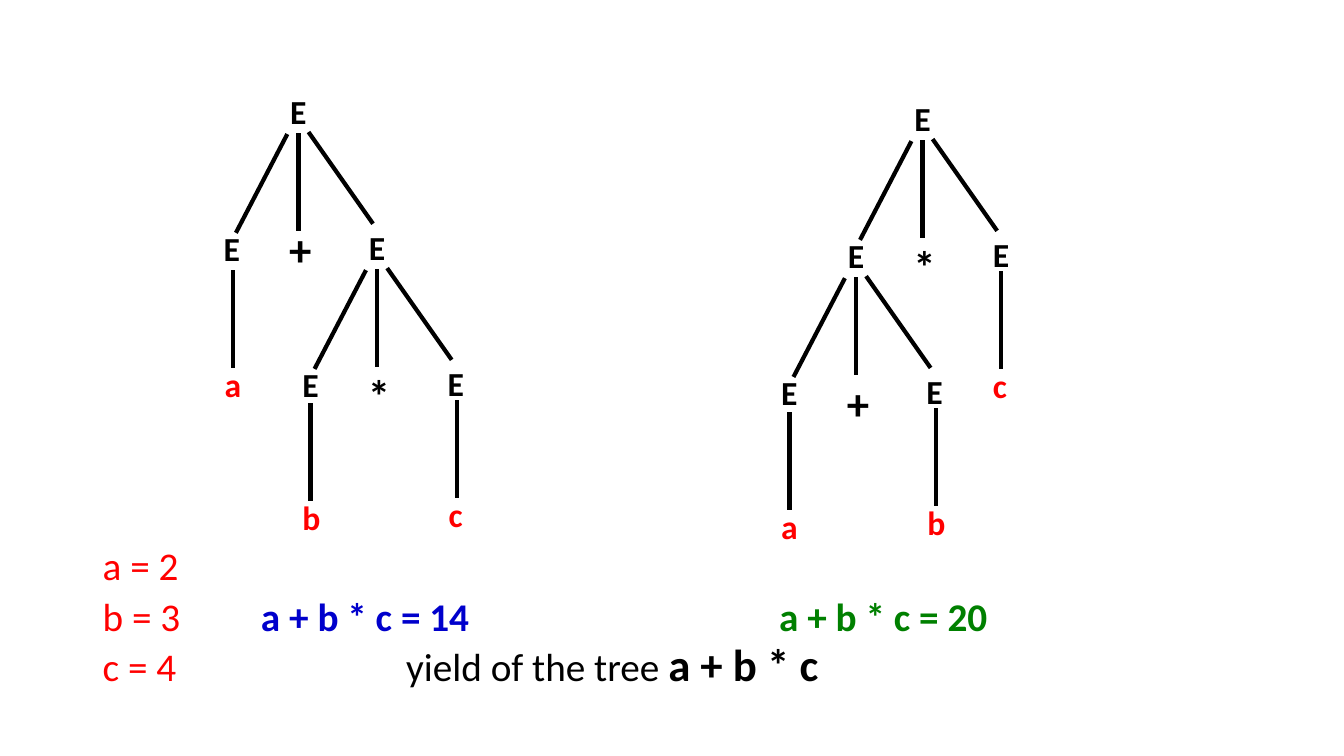
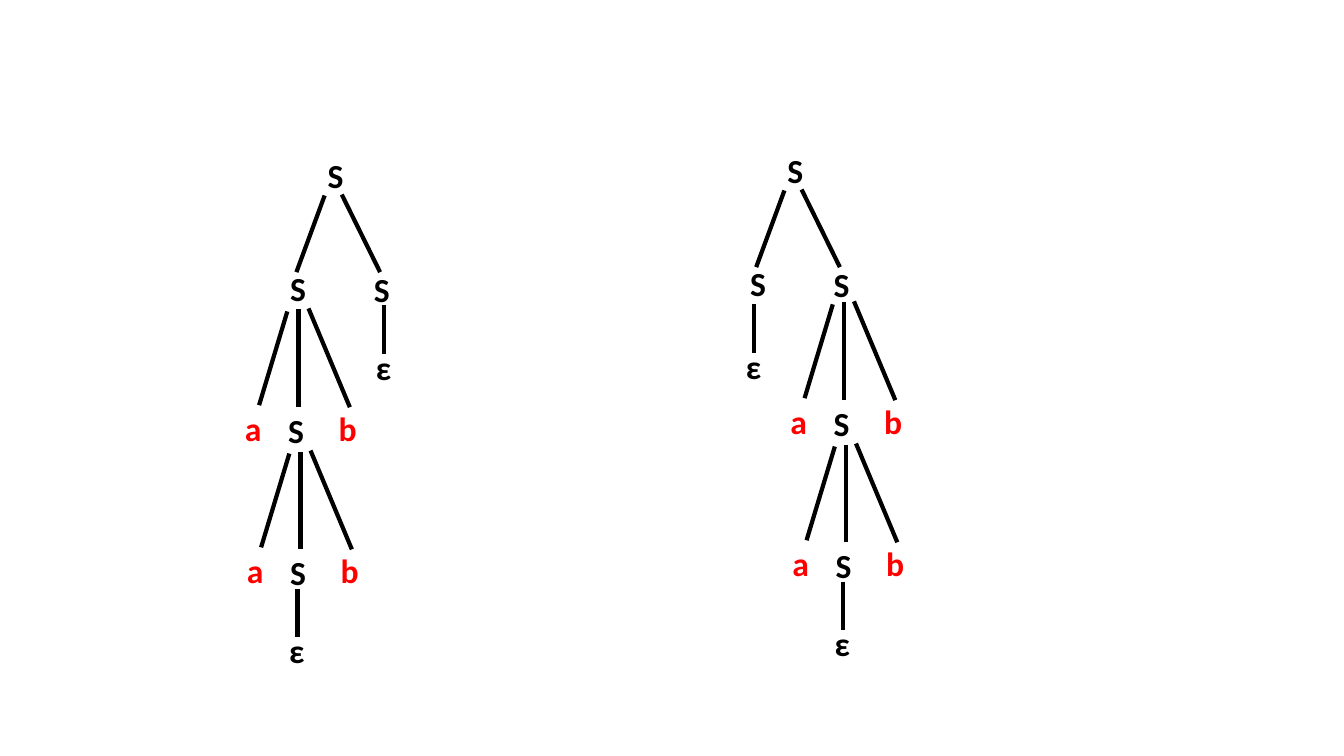
from dataclasses import dataclass
from typing import NamedTuple

from lxml import etree
from pptx import Presentation
from pptx.dml.color import RGBColor
from pptx.enum import shapes, text
from pptx.oxml import ns
from pptx.util import Inches, Pt

FONT = "Calibri"
BLACK = RGBColor(0x00, 0x00, 0x00)
RED = RGBColor(0xFF, 0x00, 0x00)
BLUE = RGBColor(0x00, 0x00, 0xCC)
GREEN = RGBColor(0x00, 0x80, 0x00)

TERMINALS = "abc"
OPERATORS = "+*"


class Point(NamedTuple):
    x: float
    y: float

    def plus(self, other: "Point") -> "Point":
        return Point(self.x + other.x, self.y + other.y)


class Branch(NamedTuple):
    """One edge and the box of its child, all measured from the parent's box."""
    start: Point
    end: Point
    child: Point


class Span(NamedTuple):
    words: str
    color: RGBColor = BLACK
    size: int = 28
    bold: bool = False


class ValueLine(NamedTuple):
    spans: list[Span]
    tabs: list[float]


@dataclass
class Node:
    label: str
    children: tuple["Node", ...] = ()
    shift: Point = Point(0, 0)  # moves all branches below the node
    lift: float = 0  # raises the label


# Branch layouts of each grammar, by number of children
EXPRESSION = {
    1: [Branch(Point(0.18, 0.44), Point(0.18, 1.41), Point(0, 1.32))],
    3: [Branch(Point(0.07, 0.48), Point(-0.44, 1.46), Point(-0.66, 1.36)),
        Branch(Point(0.18, 0.47), Point(0.18, 1.44), Point(-0.01, 1.4)),
        Branch(Point(0.28, 0.46), Point(0.92, 1.37), Point(0.78, 1.35))],
}
SEQUENCE = {
    1: [Branch(Point(0.17, 0.41), Point(0.17, 0.89), Point(-0.01, 0.77))],
    2: [Branch(Point(0.07, 0.45), Point(-0.21, 1.21), Point(-0.37, 1.12)),
        Branch(Point(0.24, 0.44), Point(0.62, 1.21), Point(0.46, 1.13))],
    3: [Branch(Point(0.09, 0.48), Point(-0.19, 1.41), Point(-0.43, 1.39)),
        Branch(Point(0.2, 0.46), Point(0.2, 1.43), Point(0, 1.41)),
        Branch(Point(0.3, 0.45), Point(0.71, 1.43), Point(0.5, 1.39))],
}


def format_span(para, words: str, *, size: int, color: RGBColor, bold: bool) -> None:
    span = para.add_run()
    span.text = words
    span.font.name = FONT
    span.font.size = Pt(size)
    span.font.bold = bold
    span.font.color.rgb = color


def add_box(page, at: Point, width: float, height: float):
    box = page.shapes.add_textbox(Inches(at.x), Inches(at.y), Inches(width), Inches(height))
    box.text_frame.word_wrap = True
    box.text_frame.auto_size = text.MSO_AUTO_SIZE.NONE
    return box


def add_label(page, label: str, at: Point) -> None:
    is_operator = label in OPERATORS
    box = add_box(page, at, 0.51, 0.64 if is_operator else 0.5)
    format_span(box.text_frame.paragraphs[0], label, size=32 if is_operator else 24,
                color=RED if label in TERMINALS else BLACK, bold=True)


def add_edge(page, start: Point, end: Point) -> None:
    edge = page.shapes.add_connector(
        shapes.MSO_CONNECTOR.STRAIGHT,
        Inches(start.x), Inches(start.y), Inches(end.x), Inches(end.y))
    edge.line.color.rgb = BLACK
    edge.line.width = Pt(3)
    etree.SubElement(edge._element.spPr, ns.qn("a:effectLst"))


def draw_tree(page, node: Node, at: Point, layout: dict[int, list[Branch]]) -> None:
    add_label(page, node.label, Point(at.x, at.y - node.lift))
    if not node.children:
        return
    origin = at.plus(node.shift)
    for branch, child in zip(layout[len(node.children)], node.children):
        add_edge(page, origin.plus(branch.start), origin.plus(branch.end))
        draw_tree(page, child, origin.plus(branch.child), layout)


def add_tabs(para, stops: list[float]) -> None:
    tab_list = etree.SubElement(para._p.get_or_add_pPr(), ns.qn("a:tabLst"))
    for stop in stops:
        etree.SubElement(tab_list, ns.qn("a:tab"), pos=str(Inches(stop)), algn="l")


def add_values(page, lines: list[ValueLine]) -> None:
    frame = add_box(page, Point(0.92, 5.28), 11.5, 1.65).text_frame
    for index, line in enumerate(lines):
        para = frame.add_paragraph() if index else frame.paragraphs[0]
        para.line_spacing = Pt(36.5)
        if line.tabs:
            add_tabs(para, line.tabs)
        for span in line.spans:
            format_span(para, span.words, size=span.size, color=span.color, bold=span.bold)


def operand(name: str, dx: float = 0, dy: float = 0) -> Node:
    return Node("E", (Node(name),), Point(dx, dy))


def nested(inner: Node, shift: Point = Point(0, 0)) -> Node:
    """Node for the rule S → a S b."""
    return Node("S", (Node("a"), inner, Node("b")), shift)


def empty(dx: float = 0, dy: float = 0) -> Node:
    return Node("S", (Node("ε"),), Point(dx, dy))


def build_expression_page(page) -> None:
    product = Node("E", (operand("b"), Node("*"), operand("c", 0.01, -0.02)))
    total = Node("E", (operand("a", 0, 0.01), Node("+"), operand("b", 0.01, -0.02)))
    product_first = Node("E", (operand("a", 0.01, 0.03), Node("+", lift=0.1), product))
    sum_first = Node("E", (total, Node("*"), operand("c", 0, -0.02)))
    draw_tree(page, product_first, Point(2.78, 0.85), EXPRESSION)
    draw_tree(page, sum_first, Point(8.97, 0.92), EXPRESSION)
    add_values(page, [
        ValueLine([Span("a = 2", RED)], []),
        ValueLine([Span("b = 3", RED), Span("\ta + b * c = 14", BLUE, bold=True),
                   Span("\ta + b * c = 20", GREEN, bold=True)], [1.57, 6.71]),
        ValueLine([Span("c = 4", RED), Span("\tyield of the tree "),
                   Span("a + b * c", size=32, bold=True)], [3.01]),
    ])


def build_sequence_page(page) -> None:
    inner_shift = Point(0.02, 0)
    left_nest = nested(nested(empty(), inner_shift), Point(-0.02, 0))
    right_nest = nested(nested(empty(), inner_shift), Point(0, -0.03))
    draw_tree(page, Node("S", (left_nest, empty(0.03))), Point(3.15, 1.49), SEQUENCE)
    draw_tree(page, Node("S", (empty(-0.03, 0.05), right_nest)), Point(7.71, 1.44), SEQUENCE)


def main() -> None:
    deck = Presentation()
    deck.slide_width = Inches(13.33)
    deck.slide_height = Inches(7.5)
    for build in (build_expression_page, build_sequence_page):
        build(deck.slides.add_slide(deck.slide_layouts[6]))
    deck.save("out.pptx")


if __name__ == "__main__":
    main()
